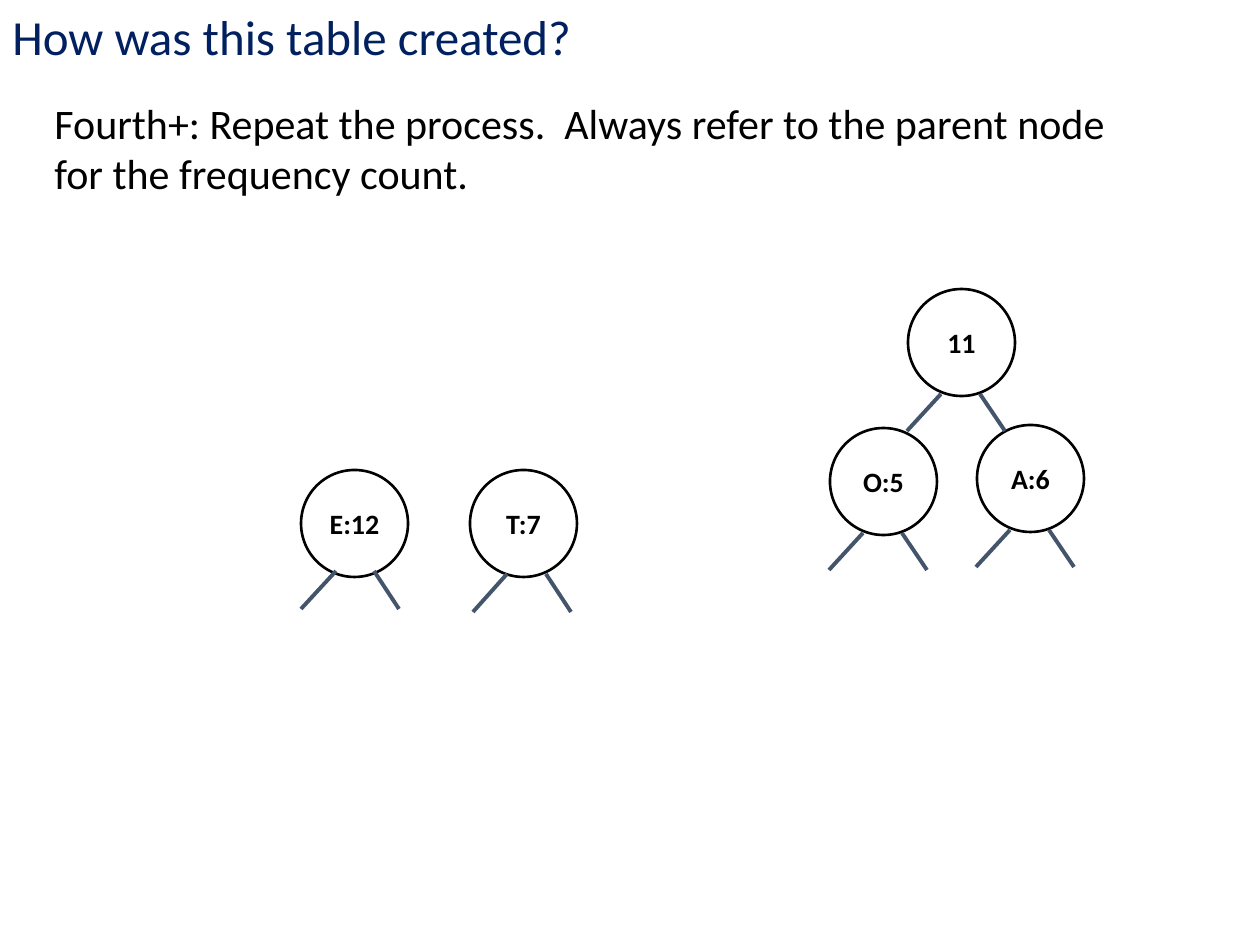
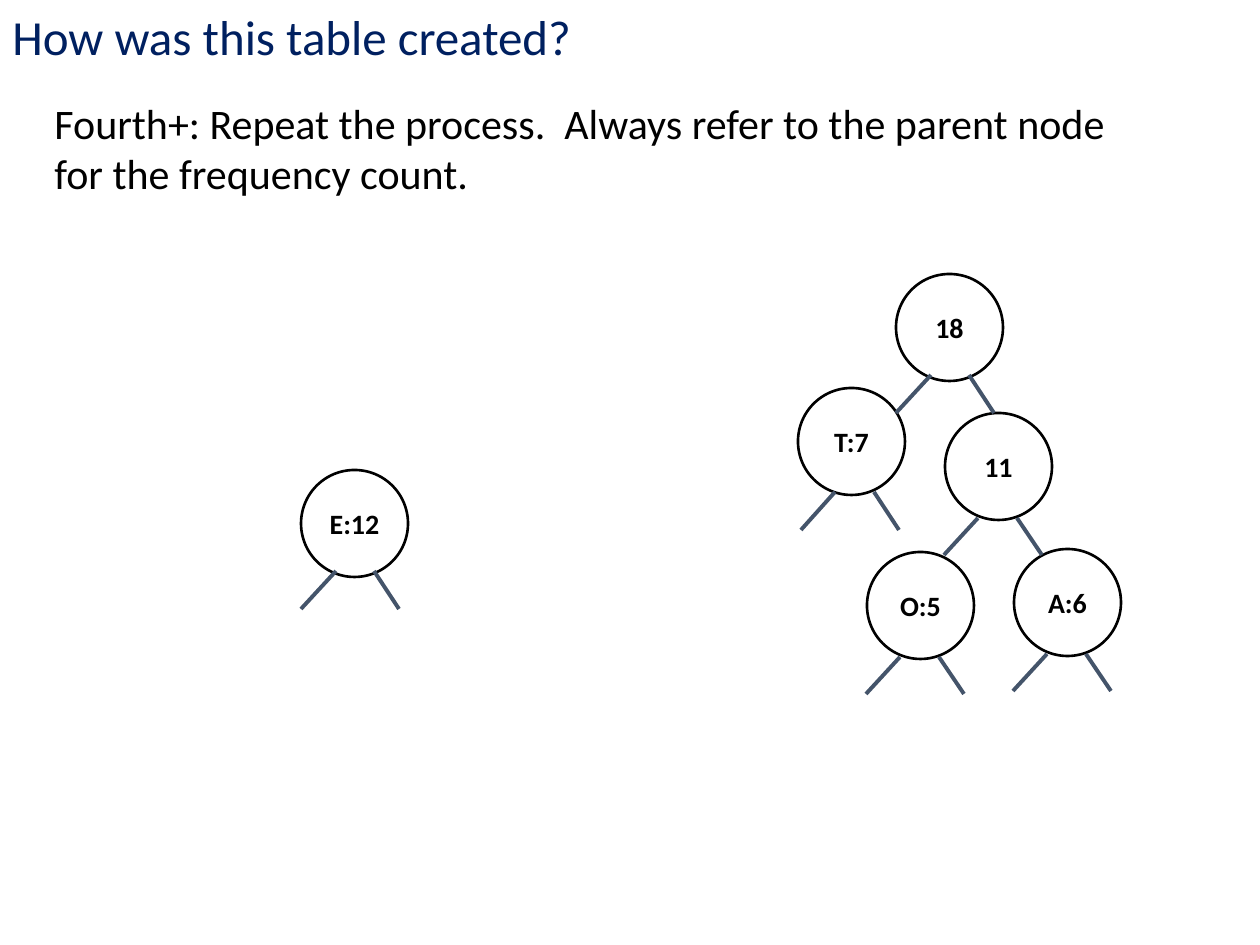
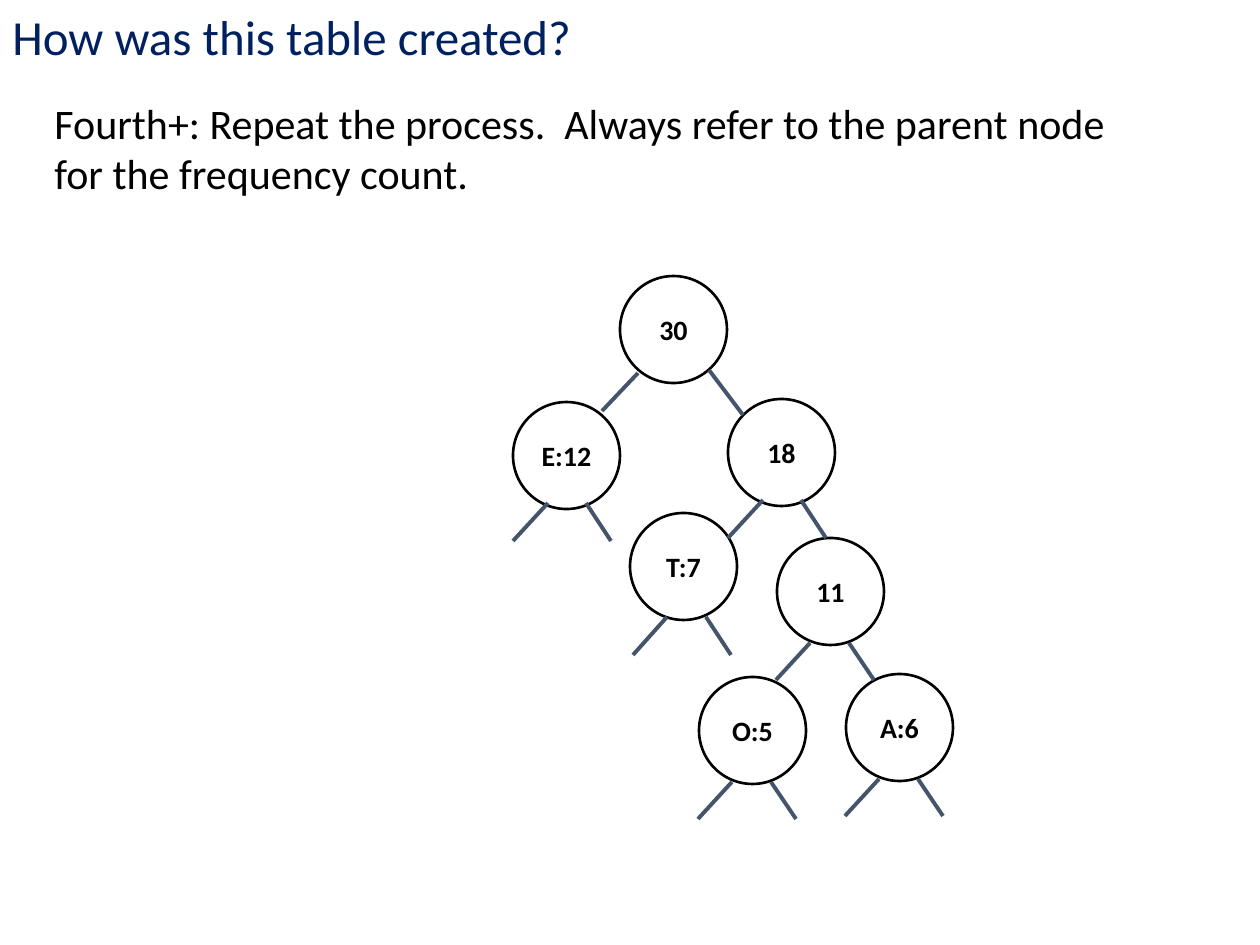
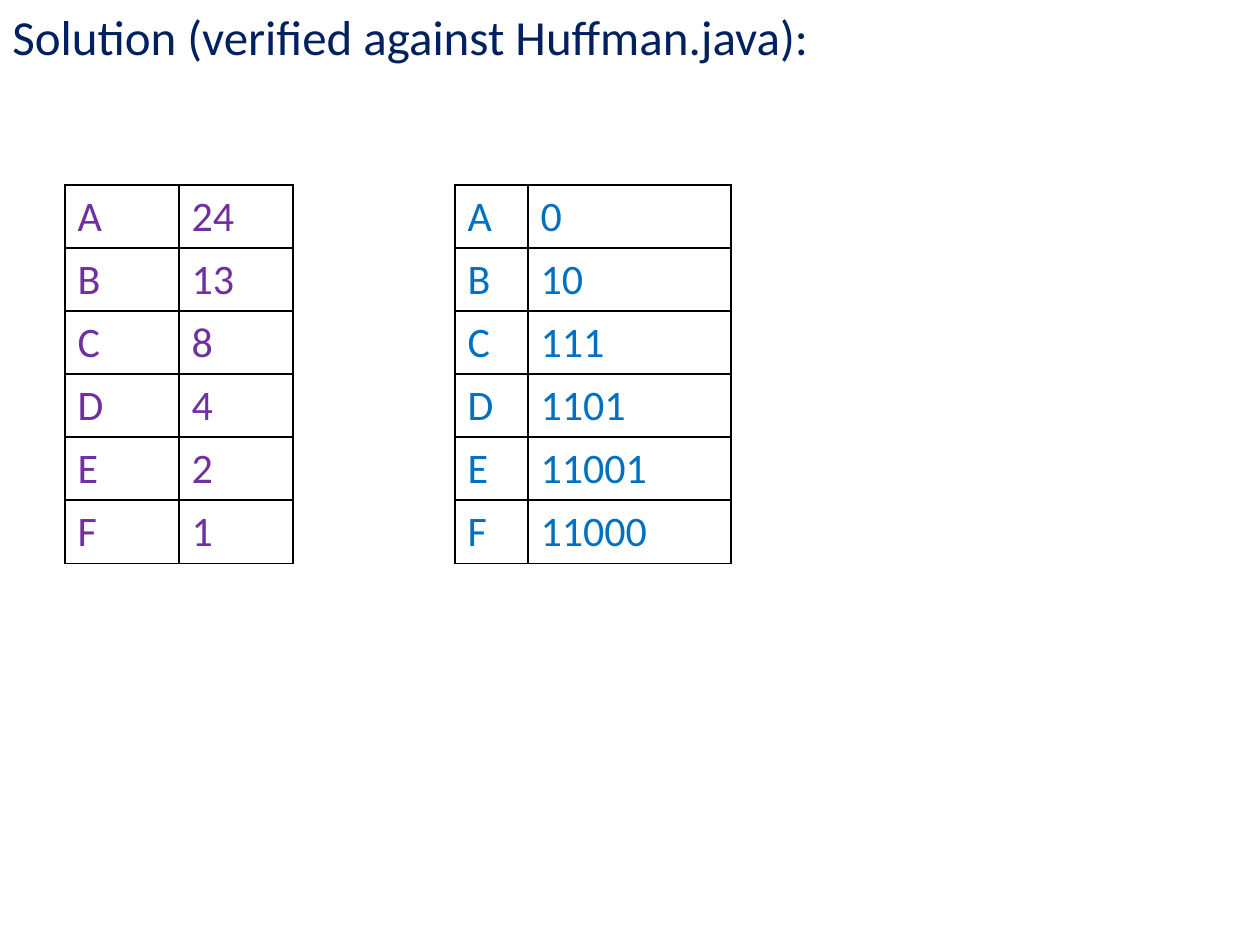
"""Builds four slides on Huffman trees and the code tables they lead to."""
from lxml import etree
from pptx import Presentation
from pptx import util as u
from pptx.dml.color import RGBColor
from pptx.enum import shapes, text
from pptx.oxml import ns

PX = 914400 // 126
FONT = "Calibri"
NAVY = RGBColor(0x00, 0x20, 0x60)
BLACK = RGBColor(0x00, 0x00, 0x00)
WHITE = RGBColor(0xFF, 0xFF, 0xFF)
SLATE = RGBColor(0x44, 0x54, 0x6A)
PURPLE = RGBColor(0x70, 0x30, 0xA0)
BLUE = RGBColor(0x00, 0x70, 0xC0)

QUESTION = "How was this table created?"
STEP = ("Fourth+: Repeat the process.  Always refer to the parent node "
        "for the frequency count.")
SOLUTION = "Solution (verified against Huffman.java):"

CHILDREN = {
    "11": [("O:5", -78, 139), ("A:6", 69, 136)],
    "18": [("T:7", -98, 114), ("11", 49, 139)],
    "30": [("E:12", -107, 126), ("18", 108, 123)],
}
FORESTS = [
    [("E:12", 301, 470), ("T:7", 470, 470), ("11", 908, 289)],
    [("E:12", 301, 470), ("18", 896, 274)],
    [("30", 620, 276)],
]

NODE_SIZE = 107
LEFT_BRANCH = (33, 105, -1, 142)
RIGHT_BRANCH = (72, 105, 97, 142)
BRANCHES = {
    "E:12": [(35, 101, 0, 139), (73, 101, 98, 139)],
    "18": [(35, 101, 0, 139), (73, 101, 98, 139)],
    "T:7": [(37, 104, 3, 142), (76, 104, 101, 142)],
    "30": [(18, 97, -18, 135), (89, 94, 123, 139)],
}

TABLE_TOP, ROW_HEIGHT = 185, 63
FREQUENCIES = [("A", "24"), ("B", "13"), ("C", "8"),
               ("D", "4"), ("E", "2"), ("F", "1")]
CODES = [("A", "0"), ("B", "10"), ("C", "111"),
         ("D", "1101"), ("E", "11001"), ("F", "11000")]
TABLES = [(FREQUENCIES, 65, (114, 114), PURPLE), (CODES, 455, (73, 203), BLUE)]


def px(*lengths):
    return [u.Emu(length * PX) for length in lengths]


def write(frame, words, size, color, bold=False):
    frame.text = words
    font = frame.paragraphs[0].runs[0].font
    font.name, font.size, font.bold = FONT, u.Pt(size), bold
    font.color.rgb = color


def add_text(page, words, at, size, color):
    frame = page.shapes.add_textbox(*px(*at)).text_frame
    frame.word_wrap = True
    frame.auto_size = text.MSO_AUTO_SIZE.SHAPE_TO_FIT_TEXT
    write(frame, words, size, color)


def add_page(deck, title, title_width=1121):
    page = deck.slides.add_slide(deck.slide_layouts[6])
    add_text(page, title, (0, 0, title_width, 72), 28, NAVY)
    return page


def add_branch(page, start_x, start_y, end_x, end_y):
    branch = page.shapes.add_connector(
        shapes.MSO_CONNECTOR.STRAIGHT, *px(start_x, start_y, end_x, end_y))
    branch.line.color.rgb = SLATE
    branch.line.width = u.Pt(2.25)
    etree.SubElement(branch._element.spPr, ns.qn("a:effectLst"))


def add_tree(page, label, left, top):
    for child, dx, dy in CHILDREN.get(label, []):
        add_tree(page, child, left + dx, top + dy)
    node = page.shapes.add_shape(
        shapes.MSO_SHAPE.OVAL, *px(left, top, NODE_SIZE, NODE_SIZE))
    node.shadow.inherit = False
    node.fill.solid()
    node.fill.fore_color.rgb = WHITE
    node.line.color.rgb = BLACK
    node.line.width = u.Pt(1.5)
    frame = node.text_frame
    frame.margin_left = frame.margin_right = 0
    frame.vertical_anchor = text.MSO_ANCHOR.MIDDLE
    write(frame, label, 16, BLACK, bold=True)
    frame.paragraphs[0].alignment = text.PP_ALIGN.CENTER
    for x1, y1, x2, y2 in BRANCHES.get(label, [LEFT_BRANCH, RIGHT_BRANCH]):
        add_branch(page, left + x1, top + y1, left + x2, top + y2)


def add_borders(cell):
    properties = cell._tc.get_or_add_tcPr()
    for index, side in enumerate(("lnL", "lnR", "lnT", "lnB")):
        border = etree.Element(ns.qn(f"a:{side}"), w=str(u.Pt(1)))
        fill = etree.SubElement(border, ns.qn("a:solidFill"))
        etree.SubElement(fill, ns.qn("a:srgbClr"), val=str(BLACK))
        properties.insert(index, border)


def add_grid(page, rows, left, widths, color):
    grid = page.shapes.add_table(
        len(rows), len(widths),
        *px(left, TABLE_TOP, sum(widths), ROW_HEIGHT * len(rows))).table
    grid.first_row = grid.horz_banding = False
    for column, width in zip(grid.columns, px(*widths)):
        column.width = width
    for r, values in enumerate(rows):
        for c, value in enumerate(values):
            cell = grid.cell(r, c)
            cell.fill.background()
            write(cell.text_frame, value, 24, color)
            add_borders(cell)


def main():
    deck = Presentation()
    deck.slide_width, deck.slide_height = px(1260, 945)
    for forest in FORESTS:
        page = add_page(deck, QUESTION)
        add_text(page, STEP, (42, 91, 1131, 115), 24, BLACK)
        for label, left, top in forest:
            add_tree(page, label, left, top)
    page = add_page(deck, SOLUTION, 1227)
    for rows, left, widths, color in TABLES:
        add_grid(page, rows, left, widths, color)
    deck.save("out.pptx")


if __name__ == "__main__":
    main()
